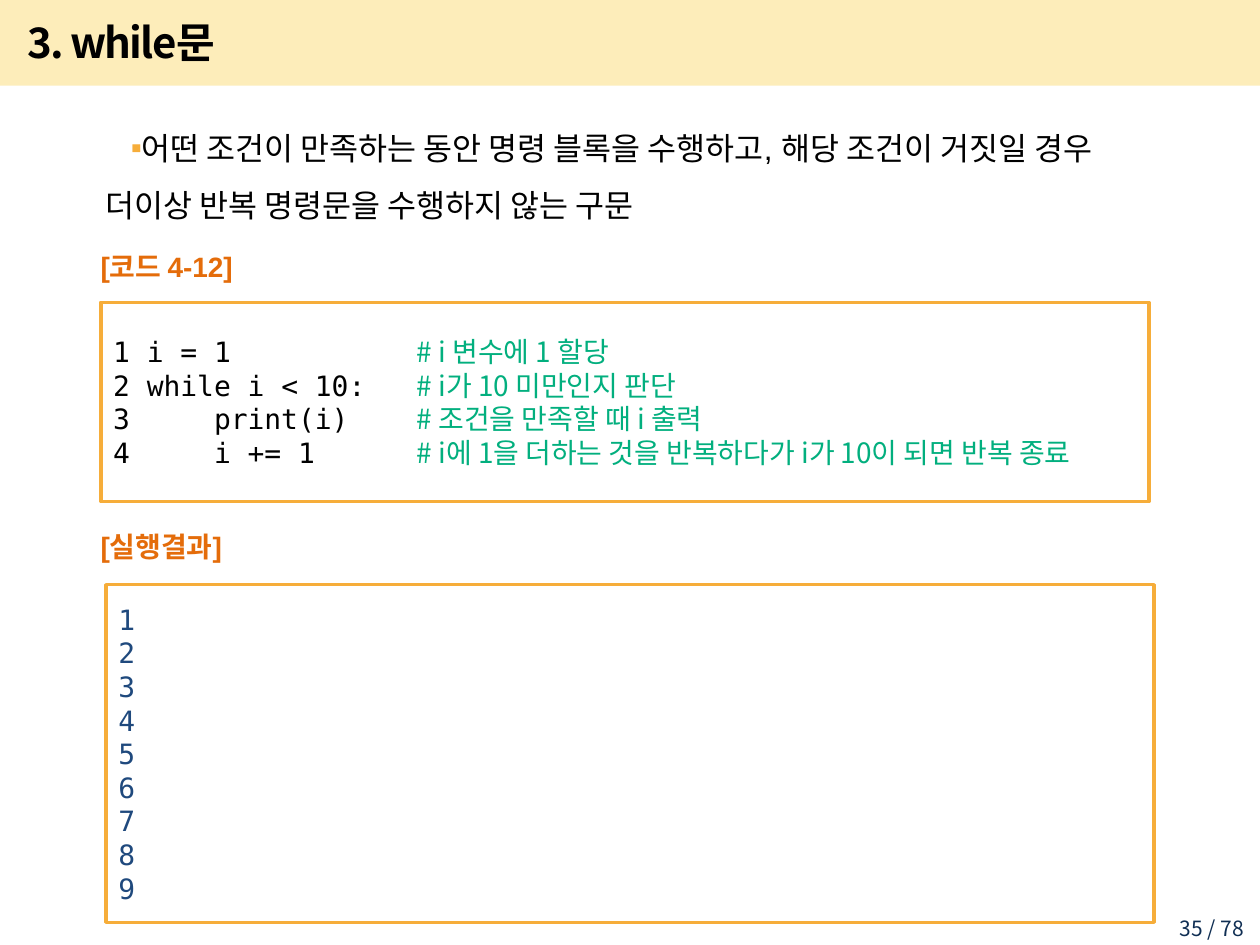
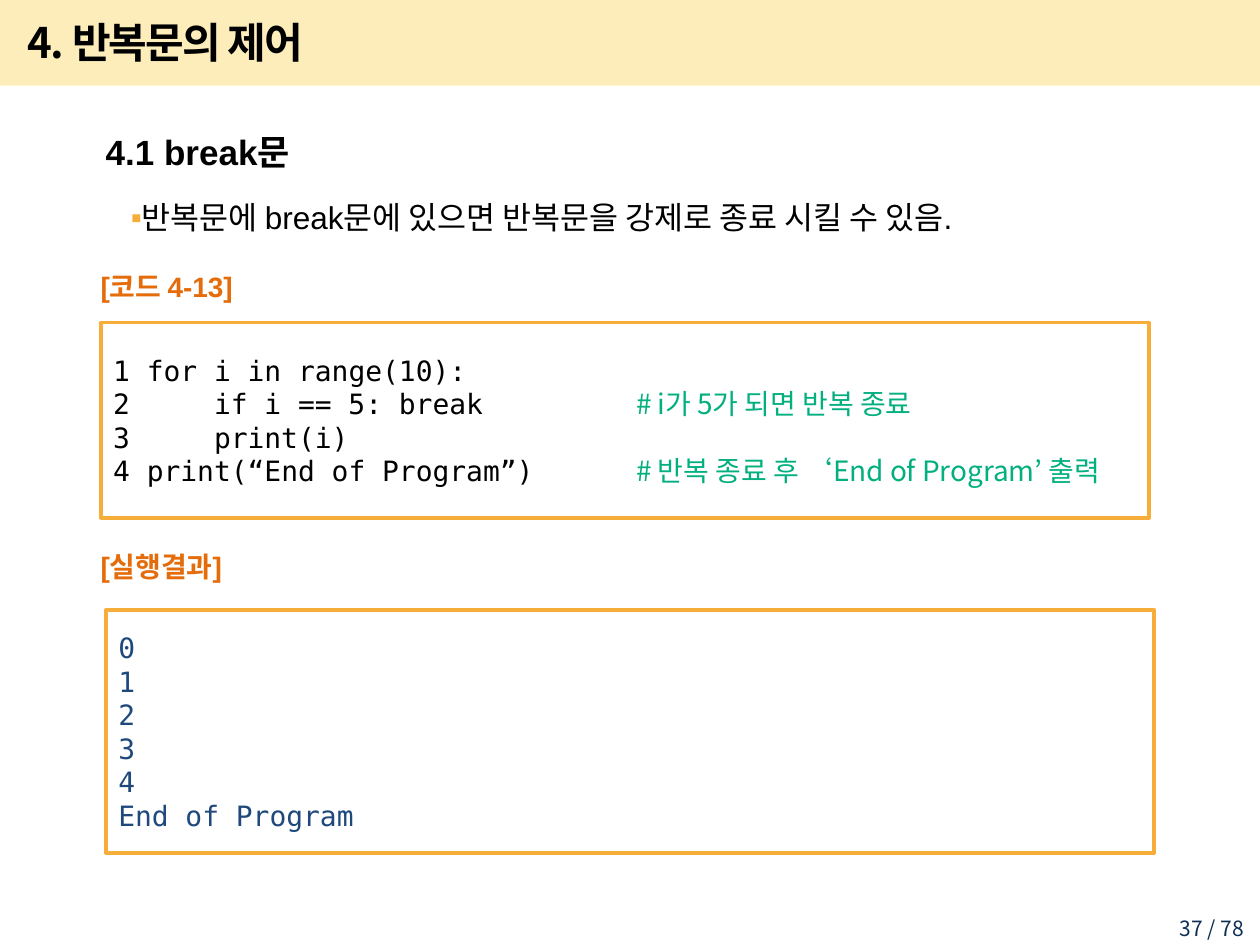
from dataclasses import dataclass
from lxml.etree import SubElement
from pptx import Presentation
from pptx.dml.color import RGBColor
from pptx.enum.shapes import MSO_SHAPE
from pptx.enum.text import MSO_ANCHOR, PP_ALIGN
from pptx.oxml.ns import qn
from pptx.util import Inches, Pt


@dataclass(frozen=True)
class Theme:
    band: str = "FABE00"
    frame: str = "F6AD3A"
    ink: str = "000000"
    note: str = "02AF7E"
    label: str = "E46C0A"
    result: str = "1F497D"
    page: str = "0F2E53"
    sans: str = "Arial"
    hangul: str = "Noto Sans CJK KR"
    mono: str = "DejaVu Sans Mono"
    title_size: int = 24
    head_size: int = 20
    body_size: int = 18
    code_size: int = 16
    page_size: int = 12
    code_pitch: float = 19.2
    body_ratio: float = 1.81


THEME = Theme()
LAST = 78
STEP = 0.8


def style(font, name, size, color, bold=False):
    font.name = name
    font.size = Pt(size)
    font.bold = bold
    font.color.rgb = RGBColor.from_string(color)


def add_text(slide, area, text, name, size, color, bold=False,
             anchor=MSO_ANCHOR.MIDDLE, wrap=True):
    box = slide.shapes.add_textbox(*map(Inches, area))
    frame = box.text_frame
    frame.word_wrap = wrap
    frame.vertical_anchor = anchor
    para = frame.paragraphs[0]
    para.text = text
    style(para.font, name, size, color, bold)
    return para


def add_base(deck, title, page):
    slide = deck.slides.add_slide(deck.slide_layouts[6])
    band = slide.shapes.add_shape(MSO_SHAPE.RECTANGLE, 0, 0, deck.slide_width, Inches(0.68))
    band.shadow.inherit = False
    band.line.fill.background()
    band.fill.solid()
    band.fill.fore_color.rgb = RGBColor.from_string(THEME.band)
    tint = band.fill._xPr.find(".//" + qn("a:srgbClr"))
    SubElement(tint, qn("a:alpha"), val="27000")

    para = add_text(slide, (0.12, 0.07, 8.51, 0.52), title,
                    THEME.hangul, THEME.title_size, THEME.ink, True)
    para._p.get_or_add_pPr().get_or_add_defRPr().set("spc", "-100")
    para = add_text(slide, (9.05, 7.22, 0.92, 0.23), f"{page} / {LAST}",
                    THEME.hangul, THEME.page_size, THEME.page, anchor=MSO_ANCHOR.TOP)
    para.alignment = PP_ALIGN.RIGHT
    return slide


def add_bullet(props):
    props.set("indent", str(Inches(0.2)))
    tint = SubElement(props, qn("a:buClr"))
    SubElement(tint, qn("a:srgbClr"), val=THEME.frame)
    SubElement(props, qn("a:buFont"), typeface=THEME.sans)
    SubElement(props, qn("a:buChar"), char="▪")


def add_body(slide, text, head=None):
    box = slide.shapes.add_textbox(*map(Inches, (0.35, 0.82, 9.15, 1.4)))
    frame = box.text_frame
    frame.word_wrap = True
    lines = [(head, THEME.head_size, True)] if head else []
    lines.append((text, THEME.body_size, False))
    for index, (words, size, bold) in enumerate(lines):
        para = frame.add_paragraph() if index else frame.paragraphs[0]
        para.text = words
        para.line_spacing = Pt(size * THEME.body_ratio)
        para.space_before = Pt(size * 0.2 if index else 0)
        props = para._p.get_or_add_pPr()
        props.set("marL", str(Inches(0.39)))
        if not bold:
            add_bullet(props)
        style(para.font, THEME.sans, size, THEME.ink, bold)


def add_label(slide, top, height, text):
    add_text(slide, (0.7, top, 1.57, height), text, THEME.sans,
             THEME.code_size, THEME.label, True, wrap=False)


def add_frame(slide, left, top, height):
    box = slide.shapes.add_shape(MSO_SHAPE.RECTANGLE,
                                 *map(Inches, (left, top, 8.32, height)))
    box.shadow.inherit = False
    box.fill.background()
    box.line.color.rgb = RGBColor.from_string(THEME.frame)
    box.line.width = Pt(2)
    box.text_frame.vertical_anchor = MSO_ANCHOR.MIDDLE
    return box.text_frame


def add_line(frame, index):
    para = frame.add_paragraph() if index else frame.paragraphs[0]
    para.alignment = PP_ALIGN.LEFT
    para.line_spacing = Pt(THEME.code_pitch)
    return para


def add_code(slide, top, height, stop, rows):
    frame = add_frame(slide, 0.8, top, height)
    for index, (code, note) in enumerate(rows):
        para = add_line(frame, index)
        tabs = SubElement(para._p.get_or_add_pPr(), qn("a:tabLst"))
        for pos in (STEP, stop):
            SubElement(tabs, qn("a:tab"), pos=str(Inches(pos)), algn="l")
        gap = "" if code.startswith("\t") else " "
        run = para.add_run()
        run.text = f"{index + 1}{gap}{code}" + ("\t" if note else "")
        style(run.font, THEME.mono, THEME.code_size, THEME.ink)
        if note:
            run = para.add_run()
            run.text = note
            style(run.font, THEME.hangul, THEME.code_size, THEME.note)


def add_result(slide, top, height, lines):
    frame = add_frame(slide, 0.84, top, height)
    for index, text in enumerate(lines):
        para = add_line(frame, index)
        para.text = str(text)
        style(para.font, THEME.mono, THEME.code_size, THEME.result)


def main():
    deck = Presentation()
    deck.slide_width = Inches(10)
    deck.slide_height = Inches(7.5)

    slide = add_base(deck, "3. while문", 35)
    add_body(slide, "어떤 조건이 만족하는 동안 명령 블록을 수행하고, 해당 조건이 거짓일 경우 "
                    "더이상 반복 명령문을 수행하지 않는 구문")
    add_label(slide, 1.86, 0.5, "[코드 4-12]")
    add_code(slide, 2.4, 1.58, 2.41, [
        ("i = 1", "# i 변수에 1 할당"),
        ("while i < 10:", "# i가 10 미만인지 판단"),
        ("\tprint(i)", "# 조건을 만족할 때 i 출력"),
        ("\ti += 1", "# i에 1을 더하는 것을 반복하다가 i가 10이 되면 반복 종료"),
    ])
    add_label(slide, 4.06, 0.55, "[실행결과]")
    add_result(slide, 4.64, 2.68, range(1, 10))

    slide = add_base(deck, "4. 반복문의 제어", 37)
    add_body(slide, "반복문에 break문에 있으면 반복문을 강제로 종료 시킬 수 있음.", "4.1 break문")
    add_label(slide, 2.02, 0.5, "[코드 4-13]")
    add_code(slide, 2.56, 1.55, 4.15, [
        ("for i in range(10):", ""),
        ("\tif i == 5: break", "# i가 5가 되면 반복 종료"),
        ("\tprint(i)", ""),
        ("print(“End of Program”)", "# 반복 종료 후 ‘End of Program’ 출력"),
    ])
    add_label(slide, 4.22, 0.55, "[실행결과]")
    add_result(slide, 4.84, 1.93, [*range(5), "End of Program"])

    deck.save("out.pptx")


if __name__ == "__main__":
    main()
